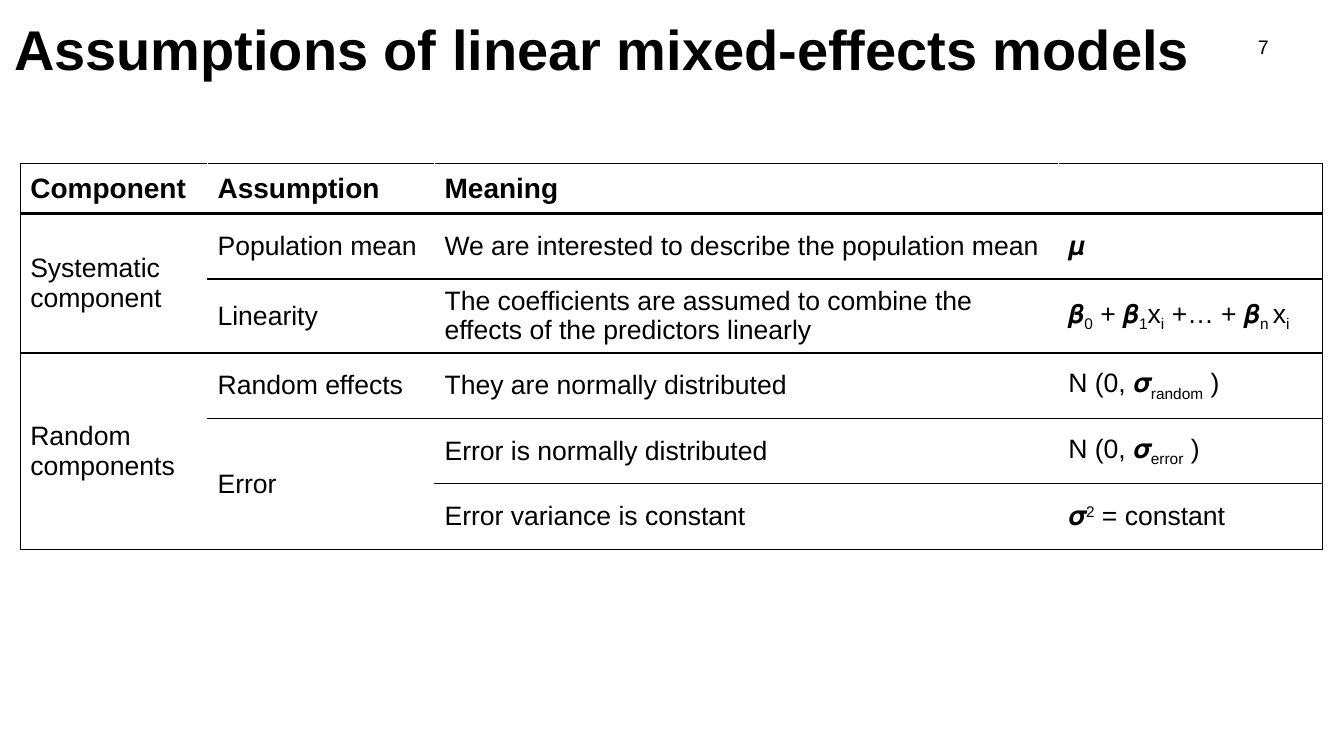
"""Build a slide with a table of the assumptions of linear mixed-effects models."""
import dataclasses

import lxml.etree
import pptx
import pptx.dml.color
import pptx.enum.text
import pptx.oxml.ns
import pptx.util

Cm = pptx.util.Cm
Pt = pptx.util.Pt
qn = pptx.oxml.ns.qn
MIDDLE = pptx.enum.text.MSO_ANCHOR.MIDDLE


@dataclasses.dataclass(frozen=True)
class Theme:
    font: str = "Arial"
    ink: str = "000000"
    paper: str = "FFFFFF"
    title: int = 40
    header: int = 20
    body: int = 19
    number: int = 14
    thin: int = 1
    thick: int = 3


theme = Theme()


def write(tf, text, size=theme.body, bold=False, spacing=None):
    """Write text; parts between bars are subscripts, or superscripts after ^."""
    p = tf.paragraphs[0]
    p.alignment = pptx.enum.text.PP_ALIGN.LEFT
    if spacing:
        p.line_spacing = spacing
    for i, part in enumerate(text.split("|")):
        r = p.add_run()
        r.text = part.lstrip("^")
        r.font.name = theme.font
        r.font.size = Pt(size)
        r.font.bold = bold
        r.font.color.rgb = pptx.dml.color.RGBColor.from_string(theme.ink)
        if i % 2:
            r.font._element.set("baseline", "30000" if part.startswith("^") else "-25000")


def add_border(cell, side, color, width):
    """Draw one side of a table cell."""
    ln = lxml.etree.SubElement(cell._tc.get_or_add_tcPr(), qn(f"a:ln{side}"), w=str(Pt(width)))
    fill = lxml.etree.SubElement(ln, qn("a:solidFill"))
    lxml.etree.SubElement(fill, qn("a:srgbClr"), val=color)


prs = pptx.Presentation()
prs.slide_width = Cm(33.87)
prs.slide_height = Cm(19.05)
s = prs.slides.add_slide(prs.slide_layouts[5])

title = s.shapes.title
title.left, title.top, title.width, title.height = Cm(0.1), Cm(0.05), Cm(33.87), Cm(2.16)
tf = title.text_frame
tf.auto_size = pptx.enum.text.MSO_AUTO_SIZE.NONE
tf.vertical_anchor = pptx.enum.text.MSO_ANCHOR.BOTTOM
write(tf, "Assumptions of linear mixed-effects models", size=theme.title, bold=True, spacing=0.9)

number = s.shapes.add_textbox(Cm(31.45), Cm(0.76), Cm(1.65), Cm(1.02))
number.text_frame.word_wrap = True
write(number.text_frame, "7", size=theme.number)

rows = [
    ["Component", "Assumption", "Meaning", ""],
    ["Systematic component", "Population mean",
     "We are interested to describe the population mean", "𝝁"],
    ["", "Linearity",
     "The coefficients are assumed to combine the effects of the predictors linearly",
     "𝜷|0| + 𝜷|1|x|i| +… + 𝜷|n |x|i"],
    ["Random components", "Random effects", "They are normally distributed", "N (0, 𝝈|random| )"],
    ["", "Error", "Error is normally distributed", "N (0, 𝝈|error| )"],
    ["", "", "Error variance is constant", "𝝈|^2| = constant"],
]
col_widths = [4.72, 5.72, 15.72, 6.65]
row_heights = [1.27] + [1.65] * 5
last = len(col_widths) - 1

table = s.shapes.add_table(len(rows), len(col_widths), Cm(0.51), Cm(4.11),
                           Cm(sum(col_widths)), Cm(sum(row_heights))).table
table.horz_banding = False
for column, width in zip(table.columns, col_widths):
    column.width = Cm(width)
for row, height in zip(table.rows, row_heights):
    row.height = Cm(height)
for col, top, bottom in [(0, 1, 2), (0, 3, 5), (1, 4, 5)]:
    table.cell(top, col).merge(table.cell(bottom, col))

for i, texts in enumerate(rows):
    for j, text in enumerate(texts):
        cell = table.cell(i, j)
        add_border(cell, "L", theme.ink if j == 0 else theme.paper, theme.thin)
        add_border(cell, "R", theme.ink if j == last else theme.paper, theme.thin)
        add_border(cell, "T", theme.ink, theme.thick if i == 1 else theme.thin)
        add_border(cell, "B", theme.ink, theme.thick if i == 0 else theme.thin)
        cell.fill.background()
        cell.vertical_anchor = MIDDLE
        if text:
            write(cell.text_frame, text, size=theme.body if i else theme.header, bold=i == 0)

prs.save("out.pptx")
